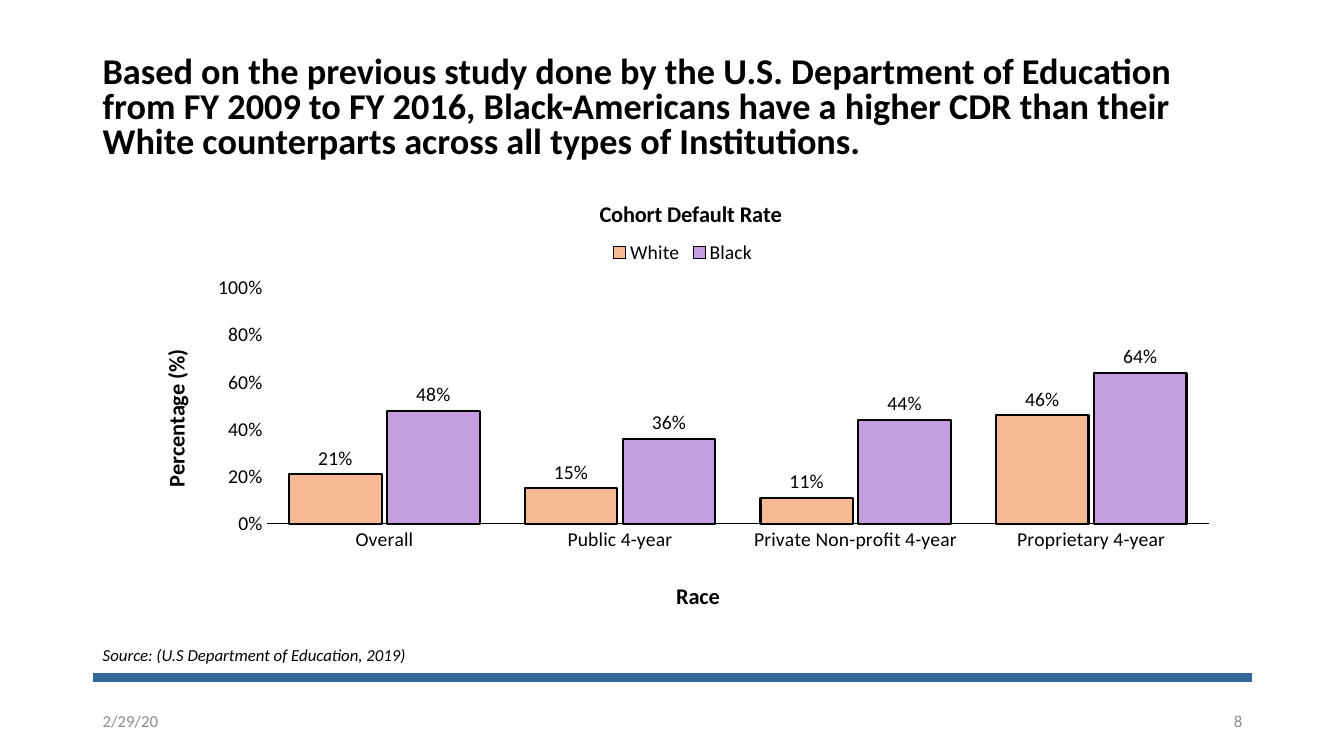
from typing import NamedTuple

from lxml import etree
from pptx import Presentation
from pptx.chart.chart import Chart
from pptx.chart.data import CategoryChartData
from pptx.dml.color import RGBColor
from pptx.enum.chart import XL_CHART_TYPE, XL_LABEL_POSITION, XL_LEGEND_POSITION, XL_TICK_MARK
from pptx.enum.shapes import MSO_CONNECTOR
from pptx.enum.text import MSO_ANCHOR, MSO_AUTO_SIZE, PP_ALIGN
from pptx.oxml.ns import qn
from pptx.slide import Slide
from pptx.util import Emu, Pt

PX = 9144  # 100 px to the inch
FONT = "Calibri"
PERCENT = "0%"

BLACK = RGBColor(0x00, 0x00, 0x00)
GRAY = RGBColor(0x8C, 0x8C, 0x8C)
BLUE = RGBColor(0x33, 0x66, 0x99)
ORANGE = RGBColor(0xF6, 0xBA, 0x92)
PURPLE = RGBColor(0xC5, 0x9E, 0xE2)

LEFT, RIGHT = PP_ALIGN.LEFT, PP_ALIGN.RIGHT
TOP, MIDDLE, BOTTOM = MSO_ANCHOR.TOP, MSO_ANCHOR.MIDDLE, MSO_ANCHOR.BOTTOM
CLUSTERED = XL_CHART_TYPE.COLUMN_CLUSTERED
OUTSIDE_END = XL_LABEL_POSITION.OUTSIDE_END
LEGEND_TOP = XL_LEGEND_POSITION.TOP
NO_TICK = XL_TICK_MARK.NONE
STRAIGHT = MSO_CONNECTOR.STRAIGHT
FIT_SHAPE = MSO_AUTO_SIZE.SHAPE_TO_FIT_TEXT


class Box(NamedTuple):
    left: int
    top: int
    width: int
    height: int


class Group(NamedTuple):
    name: str
    rates: tuple[float, ...]
    color: RGBColor


class Place(NamedTuple):
    """Position of a chart part, as fractions of the chart's size."""

    xpath: str
    fractions: dict[str, float]


HEADLINE = (
    "Based on the previous study done by the U.S. Department of Education "
    "from FY 2009 to FY 2016, Black-Americans have a higher CDR than their "
    "White counterparts across all types of Institutions."
)
INSTITUTIONS = ("Overall", "Public 4-year", "Private Non-profit 4-year", "Proprietary 4-year")
GROUPS = (
    Group("White", (0.21, 0.15, 0.11, 0.46), ORANGE),
    Group("Black", (0.48, 0.36, 0.44, 0.64), PURPLE),
)
PLACES = (
    Place("c:chart/c:title", {"x": 0.42, "y": 0.05}),
    Place("c:chart/c:legend", {"x": 0.43, "y": 0.15, "w": 0.14, "h": 0.06}),
    Place("c:chart/c:plotArea", {"x": 0.12, "y": 0.26, "w": 0.86, "h": 0.53}),
    Place(".//c:catAx/c:title", {"x": 0.49, "y": 0.91}),
    Place(".//c:valAx/c:title", {"x": 0.02, "y": 0.39}),
)


def px(n: int) -> Emu:
    return Emu(n * PX)


def style_font(font, size: float, color: RGBColor = BLACK, bold: bool = False, italic: bool = False) -> None:
    font.name = FONT
    font.size = Pt(size)
    font.color.rgb = color
    font.bold = bold
    font.italic = italic


def add_text(s: Slide, text: str, box: Box, *, size: float, color: RGBColor = BLACK,
             bold: bool = False, italic: bool = False, align: PP_ALIGN = LEFT,
             anchor: MSO_ANCHOR = TOP, spacing: float = 1.0, wrap: bool = True) -> None:
    tf = s.shapes.add_textbox(*map(px, box)).text_frame
    tf.word_wrap = wrap
    tf.vertical_anchor = anchor
    if not wrap:
        tf.auto_size = FIT_SHAPE
    p = tf.paragraphs[0]
    p.alignment = align
    p.line_spacing = spacing
    r = p.add_run()
    r.text = text
    style_font(r.font, size, color, bold, italic)


def add_rule(s: Slide) -> None:
    line = s.shapes.add_connector(STRAIGHT, px(1242), px(672), px(92), px(672))
    line.line.color.rgb = BLUE
    line.line.width = Pt(6)
    etree.SubElement(line._element.spPr, qn("a:effectLst"))


def set_title(owner, text: str) -> None:
    """Give a chart or an axis a bold title."""
    owner.has_title = True
    title = owner.chart_title if isinstance(owner, Chart) else owner.axis_title
    p = title.text_frame.paragraphs[0]
    r = p.add_run()
    r.text = text
    style_font(r.font, 16, bold=True)


def place_part(chart: Chart, place: Place) -> None:
    part = chart.element.xpath(place.xpath)[0]
    for old in part.findall(qn("c:layout")):
        part.remove(old)
    layout = etree.Element(qn("c:layout"))
    manual = etree.SubElement(layout, qn("c:manualLayout"))
    if part.tag == qn("c:plotArea"):
        etree.SubElement(manual, qn("c:layoutTarget")).set("val", "inner")
        part.insert(0, layout)
    else:
        part.find(qn("c:overlay")).addprevious(layout)
    for axis in "xy":
        etree.SubElement(manual, qn(f"c:{axis}Mode")).set("val", "edge")
    for name, value in place.fractions.items():
        etree.SubElement(manual, qn(f"c:{name}")).set("val", str(value))


def style_axes(chart: Chart) -> None:
    category, value = chart.category_axis, chart.value_axis
    for axis, title in ((category, "Race"), (value, "Percentage (%)")):
        axis.has_major_gridlines = False
        axis.major_tick_mark = axis.minor_tick_mark = NO_TICK
        style_font(axis.tick_labels.font, 14)
        set_title(axis, title)
    category.format.line.color.rgb = BLACK
    category.format.line.width = Pt(0.75)
    value.format.line.fill.background()
    value.minimum_scale, value.maximum_scale, value.major_unit = 0, 1, 0.2
    value.tick_labels.number_format = PERCENT
    value.tick_labels.number_format_is_linked = False


def style_columns(chart: Chart) -> None:
    plot = chart.plots[0]
    plot.gap_width, plot.overlap, plot.vary_by_categories = 49, -6, False
    for series, group in zip(plot.series, GROUPS):
        series.format.fill.solid()
        series.format.fill.fore_color.rgb = group.color
        series.format.line.color.rgb = BLACK
        series.format.line.width = Pt(1.5)
        labels = series.data_labels
        labels.show_value = True
        labels.position = OUTSIDE_END
        labels.number_format = PERCENT
        labels.number_format_is_linked = False
        style_font(labels.font, 14)


def add_rate_chart(s: Slide, box: Box) -> None:
    data = CategoryChartData(number_format=PERCENT)
    data.categories = INSTITUTIONS
    for group in GROUPS:
        data.add_series(group.name, group.rates)
    chart = s.shapes.add_chart(CLUSTERED, *map(px, box), data).chart
    style_font(chart.font, 14)
    set_title(chart, "Cohort Default Rate")
    chart.has_legend = True
    chart.legend.position = LEGEND_TOP
    chart.legend.include_in_layout = False
    style_font(chart.legend.font, 14)
    style_axes(chart)
    style_columns(chart)
    for place in PLACES:
        place_part(chart, place)


def main() -> None:
    prs = Presentation()
    prs.slide_width, prs.slide_height = px(1333), px(750)
    s = prs.slides.add_slide(prs.slide_layouts[6])
    add_rule(s)
    add_text(s, "2/29/20", Box(92, 695, 300, 40), size=12, color=GRAY, anchor=MIDDLE)
    add_text(s, "8", Box(942, 695, 300, 40), size=12, color=GRAY, align=RIGHT, anchor=MIDDLE)
    add_text(s, HEADLINE, Box(92, 49, 1150, 116), size=25.9, bold=True, anchor=BOTTOM, spacing=0.8)
    add_rate_chart(s, Box(134, 171, 1087, 442))
    add_text(s, "Source: (U.S Department of Education, 2019)", Box(92, 635, 328, 30),
             size=12, italic=True, wrap=False)
    prs.save("out.pptx")


if __name__ == "__main__":
    main()
